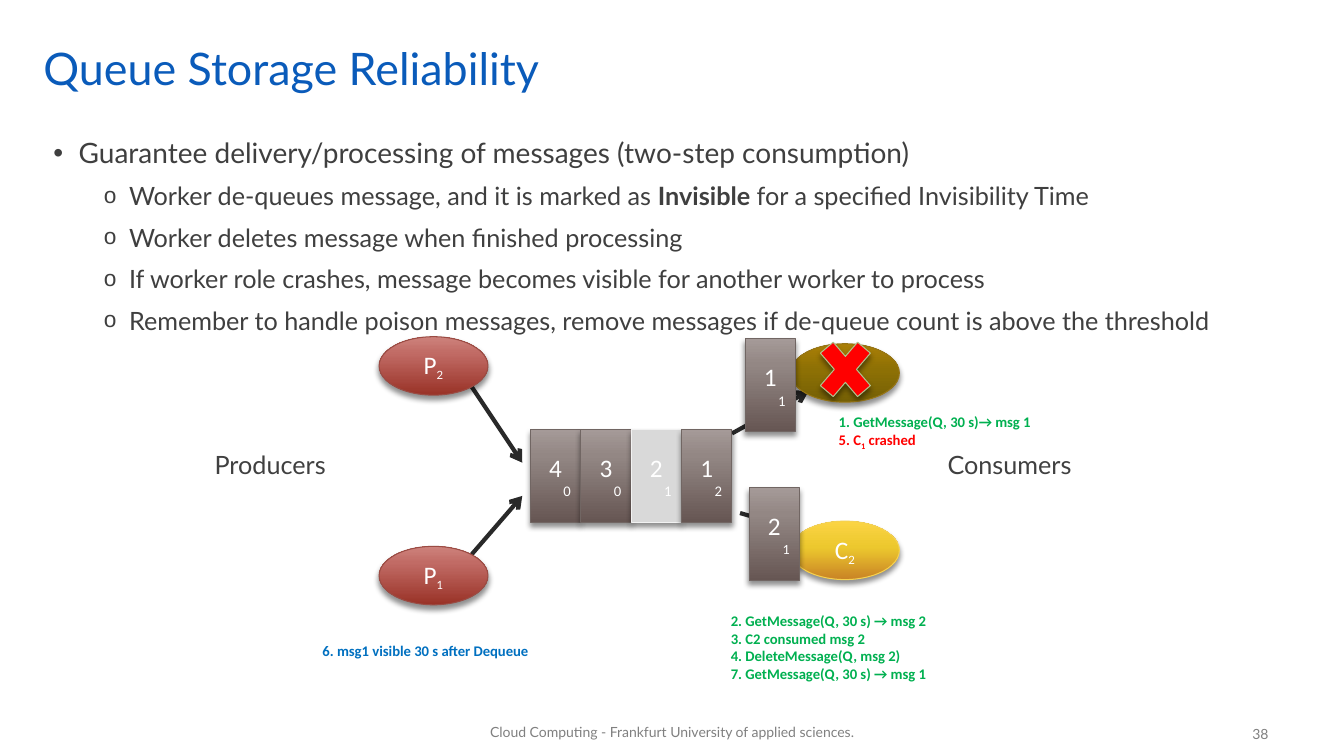
import copy

import pptx
import pptx.dml.color
import pptx.enum.shapes
import pptx.enum.text
import pptx.oxml
import pptx.oxml.ns
import pptx.util

Inches = pptx.util.Inches
Pt = pptx.util.Pt
SHAPE = pptx.enum.shapes.MSO_SHAPE
ALIGN = pptx.enum.text.PP_ALIGN
MIDDLE = pptx.enum.text.MSO_ANCHOR.MIDDLE

WHITE, DARK, GREY = "FFFFFF", "3F3F3F", "808080"
GREEN, RED, BLUE = "00B050", "FF0000", "0070C0"

# Fill (one colour, or stops from bottom to top) and line colour
STEEL = ([(0, "665653"), (0.72, "938784"), (1, "A59A98")], "716663")
BRICK = ([(0, "993227"), (0.72, "C16B65"), (1, "CD827C")], "9A4B43")
GOLD = ([(0, "C98325"), (0.55, "ECC82E"), (1, "FBD443")], "F5D251")
OLIVE = ([(0, "756005"), (0.55, "8D7005"), (1, "AA7F06")], "977515")
FADED = ("D9D9D9", "F2F2F2")
CROSS = (RED, "B1C28D")

POINTS = [
    ["Worker de-queues message, and it is marked as ", "Invisible",
     " for a specified Invisibility Time"],
    ["Worker deletes message when finished processing"],
    ["If worker role crashes, message becomes visible for another worker to process"],
    ["Remember to handle poison messages, remove messages if de-queue count is "
     "above the threshold"],
]


def rgb(code):
    return pptx.dml.color.RGBColor.from_string(code)


def add_xml(parent, tag, inner="", **attrs):
    """Append one drawing element, with optional inner markup, to parent."""
    space = pptx.oxml.ns.nsdecls("a")
    pairs = " ".join(f'{key}="{val}"' for key, val in attrs.items())
    parent.append(pptx.oxml.parse_xml(f"<a:{tag} {space} {pairs}>{inner}</a:{tag}>"))


def style(item, size, color, font="Lato", bold=False):
    """Set the font of a run or paragraph."""
    item.font.size = Pt(size)
    item.font.name = font
    item.font.bold = bold
    item.font.color.rgb = rgb(color)


def add_run(para, text, size, color, font="Lato", bold=False, sub=False):
    run = para.add_run()
    run.text = text
    style(run, size, color, font, bold)
    if sub:
        run.font._element.set("baseline", "-25000")


def place(shape, left, top, width, height):
    shape.left, shape.top = Inches(left), Inches(top)
    shape.width, shape.height = Inches(width), Inches(height)


def add_text(slide, box, lines, size, color, font="Lato", bold=False,
             align=ALIGN.LEFT, wrap=False):
    frame = slide.shapes.add_textbox(*map(Inches, box)).text_frame
    frame.word_wrap = wrap
    frame.text = "\n".join(lines)
    for para in frame.paragraphs:
        para.alignment = align
        for run in para.runs:
            style(run, size, color, font, bold)
    return frame


def add_form(slide, kind, look, *box):
    """Add a preset shape with the given fill and line and a soft shadow."""
    shape = slide.shapes.add_shape(kind, *map(Inches, box))
    props = shape._element.spPr
    fill, edge = look
    if isinstance(fill, str):
        shape.fill.solid()
        shape.fill.fore_color.rgb = rgb(fill)
    else:
        shape.fill.gradient()
        shape.fill.gradient_angle = 90
        stops = props.find(".//" + pptx.oxml.ns.qn("a:gsLst"))
        stops.append(copy.deepcopy(stops[-1]))
        for stop, (spot, code) in zip(shape.fill.gradient_stops, fill):
            stop.position = spot
            stop.color.rgb = rgb(code)
    shape.line.color.rgb = rgb(edge)
    shape.line.width = Pt(0.75)
    shape.shadow.inherit = False
    shade = '<a:srgbClr val="000000"><a:alpha val="43000"/></a:srgbClr>'
    add_xml(props.find(pptx.oxml.ns.qn("a:effectLst")), "outerShdw", shade,
            blurRad=Pt(4), dist=Pt(3), dir=5400000, rotWithShape=0)
    shape.text_frame.vertical_anchor = MIDDLE
    return shape


def add_node(slide, look, left, top, name=""):
    """Add an oval for a producer or consumer, named by letter and index."""
    oval = add_form(slide, SHAPE.OVAL, look, left, top, 1.08, 0.58)
    if name:
        para = oval.text_frame.paragraphs[0]
        para.alignment = ALIGN.CENTER
        add_run(para, name[0], 18, WHITE, "Calibri")
        add_run(para, name[1], 14, WHITE, sub=True)


def add_card(slide, left, top, number, count, look=STEEL, small=10.5):
    """Add a message with its number and de-queue count."""
    frame = add_form(slide, SHAPE.RECTANGLE, look, left, top, 0.5, 0.92).text_frame
    frame.text = f"{number}\n{count}"
    for para, size, align in zip(frame.paragraphs, (18, small),
                                 (ALIGN.CENTER, ALIGN.RIGHT)):
        para.alignment = align
        style(para.runs[0], size, WHITE, "Calibri")


def add_arrow(slide, *ends):
    line = slide.shapes.add_connector(
        pptx.enum.shapes.MSO_CONNECTOR.STRAIGHT, *map(Inches, ends))
    line.line.color.rgb = rgb("292929")
    line.line.width = Pt(3)
    add_xml(line.line._get_or_add_ln(), "tailEnd", type="arrow")
    add_xml(line._element.spPr, "effectLst")


def fill_title(shape):
    place(shape, 0.33, 0.33, 12.33, 0.75)
    frame = shape.text_frame
    frame.text = "Queue Storage Reliability"
    frame.auto_size = pptx.enum.text.MSO_AUTO_SIZE.NONE
    frame.vertical_anchor = MIDDLE
    para = frame.paragraphs[0]
    para.alignment = ALIGN.LEFT
    para.line_spacing = 0.9
    style(para.runs[0], 32, "0A5BBA")


def add_point(para, parts, level):
    """Write one bulleted paragraph; its second part, if any, is bold."""
    para.level = level
    para.line_spacing = 1.14
    para.space_before = Pt(5 * level)
    props = para._element.get_or_add_pPr()
    props.set("marL", str(Inches(0.25 + 0.5 * level)))
    props.set("indent", str(Inches(-0.25)))
    if level:
        add_xml(props, "buSzPct", val=90000)
    add_xml(props, "buChar", char="•o"[level])
    for i, part in enumerate(parts):
        add_run(para, part, 20 - 2 * level, DARK, bold=i == 1)


def fill_body(shape):
    place(shape, 0.43, 1.25, 12.22, 5.42)
    frame = shape.text_frame
    frame.auto_size = pptx.enum.text.MSO_AUTO_SIZE.NONE
    add_point(frame.paragraphs[0],
              ["Guarantee delivery/processing of messages (two-step consumption)"], 0)
    for parts in POINTS:
        add_point(frame.add_paragraph(), parts, 1)


def draw_queue(slide):
    for ends in ((7.34, 5.09, 7.93, 5.26), (7.26, 4.3, 8.02, 3.88),
                 (4.68, 3.84, 5.18, 4.59), (4.67, 5.51, 5.18, 4.92)):
        add_arrow(slide, *ends)
    add_node(slide, OLIVE, 7.84, 3.41)
    add_node(slide, GOLD, 7.84, 5.17, "C2")
    add_node(slide, BRICK, 3.76, 3.34, "P2")
    add_node(slide, BRICK, 3.76, 5.42, "P1")
    add_card(slide, 7.39, 3.36, 1, 1)
    add_card(slide, 7.43, 4.84, 2, 1, small=10)
    for i, count in enumerate((0, 0, 1, 2)):
        look = FADED if i == 2 else STEEL
        add_card(slide, 5.26 + 0.5 * i, 4.26, 4 - i, count, look)
    add_form(slide, SHAPE.MATH_MULTIPLY, CROSS, 8.03, 3.25, 0.71, 0.83)


def add_notes(slide):
    """Label both sides of the queue and list the numbered steps."""
    add_text(slide, (2.03, 4.41, 1.31, 0.4), ["Producers"], 18, "404040")
    add_text(slide, (9.3, 4.41, 1.44, 0.4), ["Consumers"], 18, "404040")
    add_text(slide, (7.15, 6.02, 2.18, 0.81),
             ["2. GetMessage(Q, 30 s) → msg 2", "3. C2 consumed msg 2",
              "4. DeleteMessage(Q, msg 2)", "7. GetMessage(Q, 30 s) → msg 1"],
             10.5, GREEN, "Calibri", True)
    first = add_text(slide, (8.22, 4.05, 2.15, 0.45),
                     ["1. GetMessage(Q, 30 s)→ msg 1"], 10.5, GREEN, "Calibri", True)
    crash = first.add_paragraph()
    for part in ("5. C", "1", " crashed"):
        add_run(crash, part, 10.5, RED, "Calibri", True, sub=part == "1")
    add_text(slide, (3.1, 6.32, 3.17, 0.29), ["6. msg1 visible 30 s after Dequeue"],
             10.5, BLUE, "Calibri", True, wrap=True)


def add_foot(slide):
    foot = add_text(slide, (4.46, 7.06, 4.41, 0.4),
                    ["Cloud Computing - Frankfurt University of applied sciences."],
                    10, GREY, align=ALIGN.CENTER, wrap=True)
    foot.margin_left = foot.margin_right = Inches(0.2)
    page = add_text(slide, (9.68, 7.08, 3, 0.4), ["38"], 10, GREY,
                    align=ALIGN.RIGHT, wrap=True)
    foot.vertical_anchor = page.vertical_anchor = MIDDLE


def main():
    deck = pptx.Presentation()
    deck.slide_width, deck.slide_height = Inches(13.33), Inches(7.5)
    slide = deck.slides.add_slide(deck.slide_layouts[1])
    fill_title(slide.shapes.title)
    fill_body(slide.placeholders[1])
    draw_queue(slide)
    add_notes(slide)
    add_foot(slide)
    deck.save("out.pptx")


if __name__ == "__main__":
    main()
